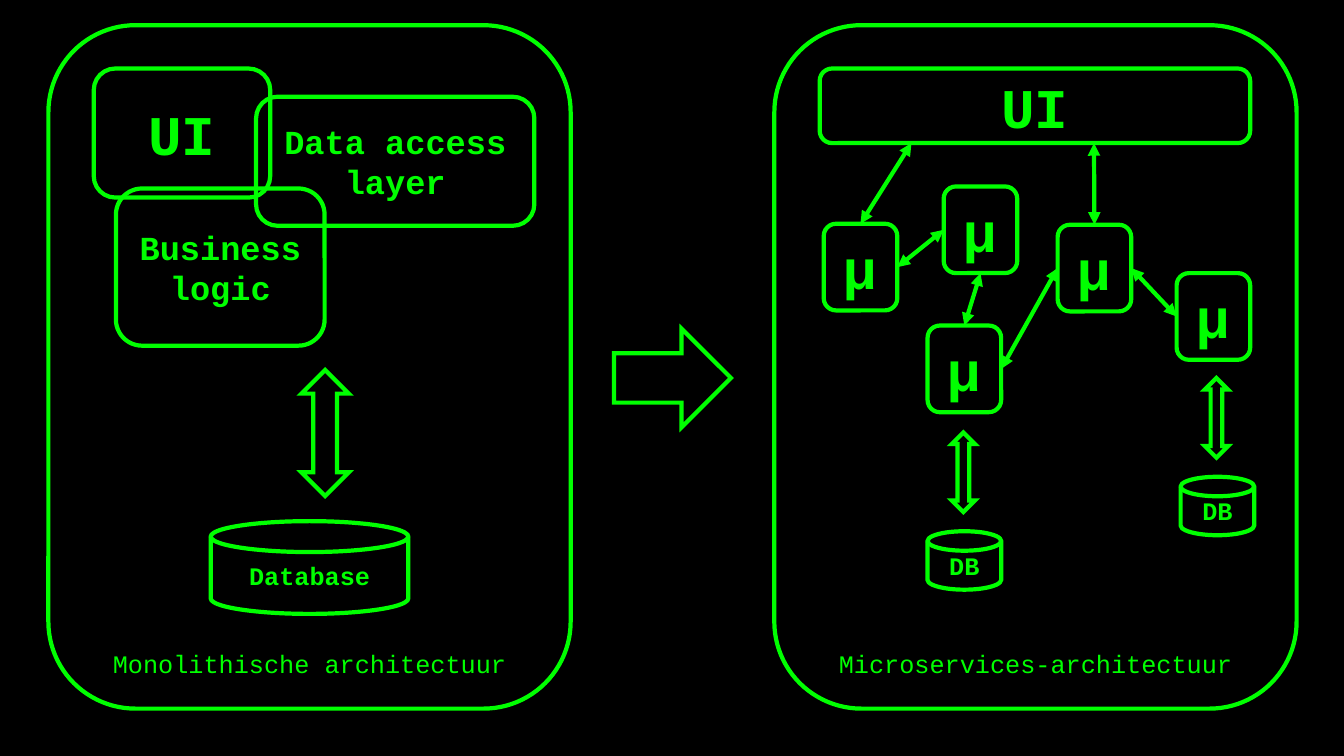
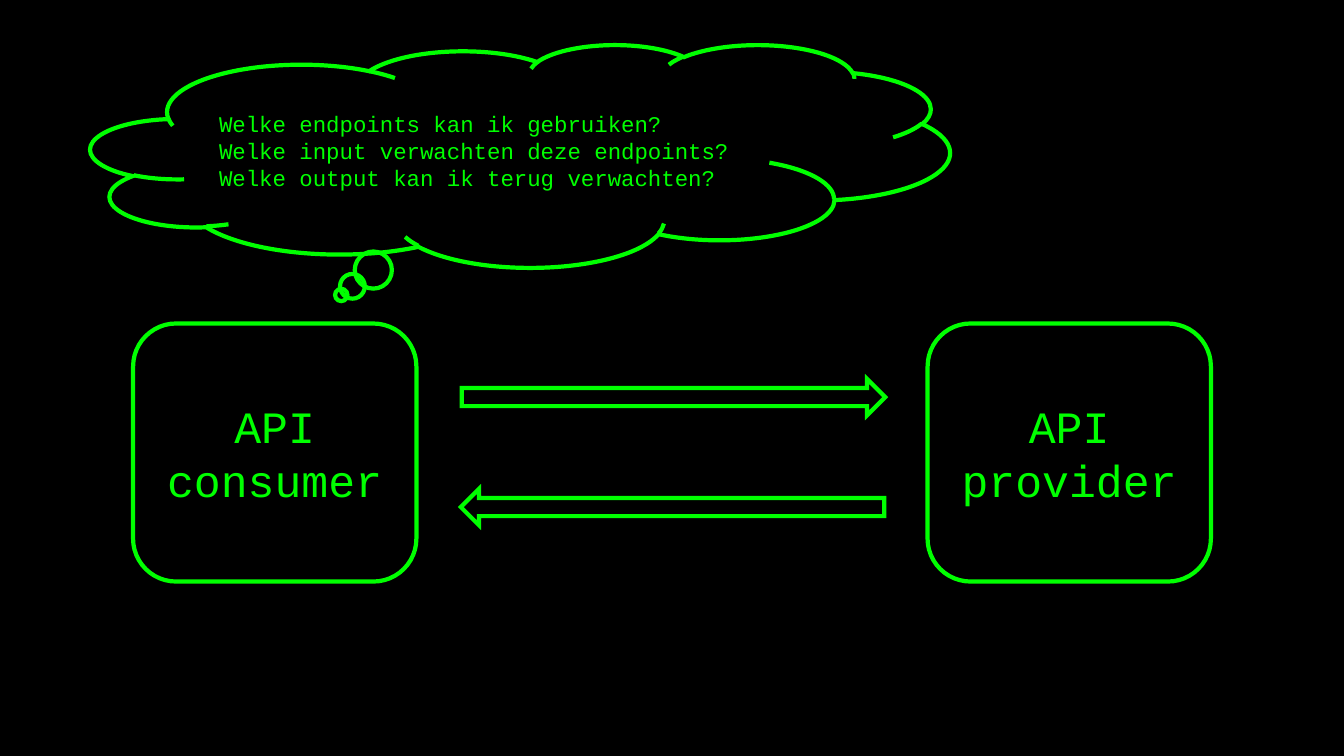
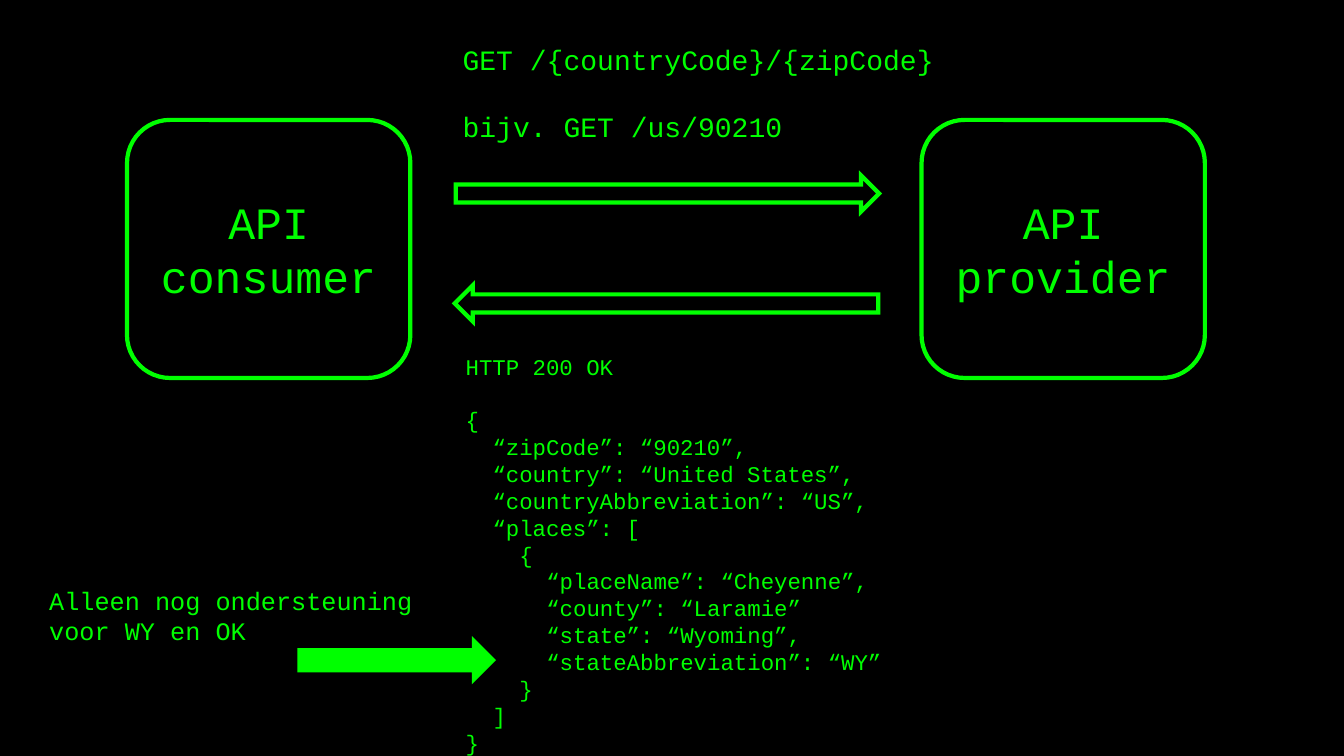
from dataclasses import dataclass
from typing import Sequence

from pptx import Presentation
from pptx import util as u
from pptx.dml.color import RGBColor
from pptx.enum import shapes, text
from pptx.oxml import ns
from lxml import etree

Inches = u.Inches
Kind = shapes.MSO_SHAPE
Anchor = text.MSO_ANCHOR
Align = text.PP_ALIGN


@dataclass(frozen=True)
class Theme:
    ink: RGBColor = RGBColor(0x00, 0xFF, 0x00)
    background: RGBColor = RGBColor(0x00, 0x00, 0x00)
    font: str = "Courier New"
    stroke: float = 3
    line_height: float = 1.2
    code: int = 16
    label: int = 18
    request: int = 20
    block: int = 24
    party: int = 32
    symbol: int = 40


THEME = Theme()
TOP, LEFT, BOTTOM, RIGHT = range(4)


@dataclass(frozen=True)
class Box:
    left: float
    top: float
    width: float
    height: float

    def lengths(self) -> tuple:
        return tuple(Inches(v) for v in (self.left, self.top, self.width, self.height))


@dataclass(frozen=True)
class Line:
    """One paragraph; each level indents by two characters, gap leaves a line free above."""
    text: str
    level: int = 0
    gap: bool = False


@dataclass(frozen=True)
class Block:
    kind: Kind
    box: Box
    text: str = ""
    size: int = THEME.block
    bold: bool = True
    anchor: Anchor = Anchor.MIDDLE


@dataclass(frozen=True)
class Link:
    """A double arrow between two services, from side to side."""
    start: str
    start_side: int
    end: str
    end_side: int


def add_line_part(line_format, name: str, **attributes: str) -> None:
    properties = line_format._get_or_add_ln()
    etree.SubElement(properties, ns.qn(f"a:{name}"), **attributes)


def stroke(line_format) -> None:
    line_format.color.rgb = THEME.ink
    line_format.width = u.Pt(THEME.stroke)
    add_line_part(line_format, "miter", lim="800000")


def write(frame, lines: Sequence[Line], *, size: int, bold: bool = False,
          align: Align = Align.LEFT, anchor: Anchor = Anchor.TOP) -> None:
    frame.word_wrap = True
    frame.vertical_anchor = anchor
    for index, line in enumerate(lines):
        paragraph = frame.add_paragraph() if index else frame.paragraphs[0]
        paragraph.alignment = align
        if line.gap:
            paragraph.space_before = u.Pt(size * THEME.line_height)
        if line.level:
            indent = u.Pt(size * 1.2 * line.level)
            paragraph._p.get_or_add_pPr().set("marL", str(indent))
        run = paragraph.add_run()
        run.text = line.text
        run.font.name = THEME.font
        run.font.size = u.Pt(size)
        run.font.bold = bold
        run.font.color.rgb = THEME.ink


def add_outline(slide, kind: Kind, box: Box, rotation: float = 0):
    shape = slide.shapes.add_shape(kind, *box.lengths())
    shape.shadow.inherit = False
    shape.rotation = rotation
    shape.fill.background()
    stroke(shape.line)
    return shape


def add_block(slide, block: Block):
    shape = add_outline(slide, block.kind, block.box)
    if block.text:
        write(shape.text_frame, [Line(block.text)], size=block.size, bold=block.bold,
              align=Align.CENTER, anchor=block.anchor)
    return shape


def add_text(slide, box: Box, lines: Sequence[Line], size: int) -> None:
    frame = slide.shapes.add_textbox(*box.lengths()).text_frame
    write(frame, lines, size=size)
    frame.auto_size = text.MSO_AUTO_SIZE.SHAPE_TO_FIT_TEXT


def add_double_arrow(slide, start: tuple = (0, 0), end: tuple = (0, 0)):
    connector = slide.shapes.add_connector(
        shapes.MSO_CONNECTOR.STRAIGHT, *(Inches(v) for v in (*start, *end)))
    stroke(connector.line)
    for name in ("headEnd", "tailEnd"):
        add_line_part(connector.line, name, type="triangle")
    etree.SubElement(connector._element.spPr, ns.qn("a:effectLst"))
    return connector


def add_system(slide, left: float, name: str) -> None:
    add_block(slide, Block(Kind.ROUNDED_RECTANGLE, Box(left, 0.25, 5.18, 6.78), name,
                           THEME.label, False, Anchor.BOTTOM))


def add_exchange(slide, left: float, top: float) -> None:
    """The consumer and provider with a request and a response arrow between them."""
    for offset, name in ((0, "API consumer"), (7.88, "API provider")):
        add_block(slide, Block(Kind.ROUNDED_RECTANGLE, Box(left + offset, top, 2.81, 2.56),
                               name, THEME.party, False))
    for across, down, rotation in ((3.26, 0.55, 0), (3.25, 1.64, 180)):
        add_outline(slide, Kind.RIGHT_ARROW, Box(left + across, top + down, 4.2, 0.36), rotation)


def build_architectures(slide) -> None:
    add_system(slide, 0.48, "Monolithische architectuur")
    add_system(slide, 7.68, "Microservices-architectuur")
    for block in (
        Block(Kind.ROUNDED_RECTANGLE, Box(0.93, 0.68, 1.75, 1.28), "UI", THEME.symbol),
        Block(Kind.ROUNDED_RECTANGLE, Box(2.54, 0.96, 2.76, 1.28), "Data access layer"),
        Block(Kind.ROUNDED_RECTANGLE, Box(1.15, 1.87, 2.07, 1.56), "Business logic"),
        Block(Kind.FLOWCHART_MAGNETIC_DISK, Box(2.09, 5.17, 1.96, 0.92), "Database", THEME.label),
        Block(Kind.UP_DOWN_ARROW, Box(2.99, 3.67, 0.47, 1.25)),
        Block(Kind.RIGHT_ARROW, Box(6.09, 3.26, 1.16, 0.98)),
        Block(Kind.ROUNDED_RECTANGLE, Box(8.13, 0.68, 4.27, 0.74), "UI", THEME.symbol),
    ):
        add_block(slide, block)

    positions = {"first": (8.17, 2.22), "second": (9.36, 1.85), "hub": (10.49, 2.23),
                 "left store": (9.2, 3.23), "right store": (11.67, 2.71)}
    services = {
        name: add_block(slide, Block(Kind.ROUNDED_RECTANGLE, Box(left, top, 0.73, 0.86),
                                     "µ", THEME.symbol))
        for name, (left, top) in positions.items()
    }
    for left, top in ((9.2, 4.29), (11.71, 3.75)):
        add_outline(slide, Kind.UP_DOWN_ARROW, Box(left + 0.24, top, 0.23, 0.79))
        add_block(slide, Block(Kind.FLOWCHART_MAGNETIC_DISK, Box(left, top + 0.98, 0.73, 0.58),
                               "DB", THEME.label))

    for link in (
        Link("first", RIGHT, "second", LEFT),
        Link("right store", LEFT, "hub", RIGHT),
        Link("left store", RIGHT, "hub", LEFT),
        Link("left store", TOP, "second", BOTTOM),
    ):
        connector = add_double_arrow(slide)
        connector.begin_connect(services[link.start], link.start_side)
        connector.end_connect(services[link.end], link.end_side)
    for name, start, ui_edge in (("first", (8.54, 2.22), (9.04, 1.42)),
                                 ("hub", (10.85, 2.23), (10.85, 1.42))):
        add_double_arrow(slide, start, ui_edge).begin_connect(services[name], TOP)


def build_questions(slide) -> None:
    add_exchange(slide, 1.32, 3.21)
    cloud = add_outline(slide, Kind.CLOUD_CALLOUT, Box(0.9, 0.44, 8.52, 2.21))
    questions = ("Welke endpoints kan ik gebruiken?",
                 "Welke input verwachten deze endpoints?",
                 "Welke output kan ik terug verwachten?")
    write(cloud.text_frame, [Line(question) for question in questions],
          size=THEME.code, anchor=Anchor.MIDDLE)


def build_example(slide) -> None:
    add_exchange(slide, 1.26, 1.19)
    add_text(slide, Box(4.49, 0.37, 5.06, 1.11), [
        Line("GET /{countryCode}/{zipCode}"),
        Line("bijv. GET /us/90210", gap=True),
    ], THEME.request)
    add_text(slide, Box(4.52, 3.45, 6.19, 4.14), [
        Line("HTTP 200 OK"),
        Line("{", gap=True),
        Line("“zipCode”: “90210”,", 1),
        Line("“country”: “United States”,", 1),
        Line("“countryAbbreviation”: “US”,", 1),
        Line("“places”: [", 1),
        Line("{", 2),
        Line("“placeName”: “Cheyenne”,", 3),
        Line("“county”: “Laramie”", 3),
        Line("“state”: “Wyoming”,", 3),
        Line("“stateAbbreviation”: “WY”", 3),
        Line("}", 2),
        Line("]", 1),
        Line("}"),
    ], THEME.code)
    pointer = add_outline(slide, Kind.RIGHT_ARROW, Box(2.95, 6.31, 1.97, 0.48))
    pointer.fill.solid()
    pointer.fill.fore_color.rgb = THEME.ink
    pointer.line.fill.background()
    add_text(slide, Box(0.39, 5.76, 4.27, 0.71),
             [Line("Alleen nog ondersteuning voor WY en OK")], THEME.label)


def main() -> None:
    presentation = Presentation()
    presentation.slide_width = Inches(13.33)
    presentation.slide_height = Inches(7.5)
    master_fill = presentation.slide_master.background.fill
    master_fill.solid()
    master_fill.fore_color.rgb = THEME.background
    blank_layout = presentation.slide_layouts[6]
    for build in (build_architectures, build_questions, build_example):
        build(presentation.slides.add_slide(blank_layout))
    presentation.save("out.pptx")


if __name__ == "__main__":
    main()
